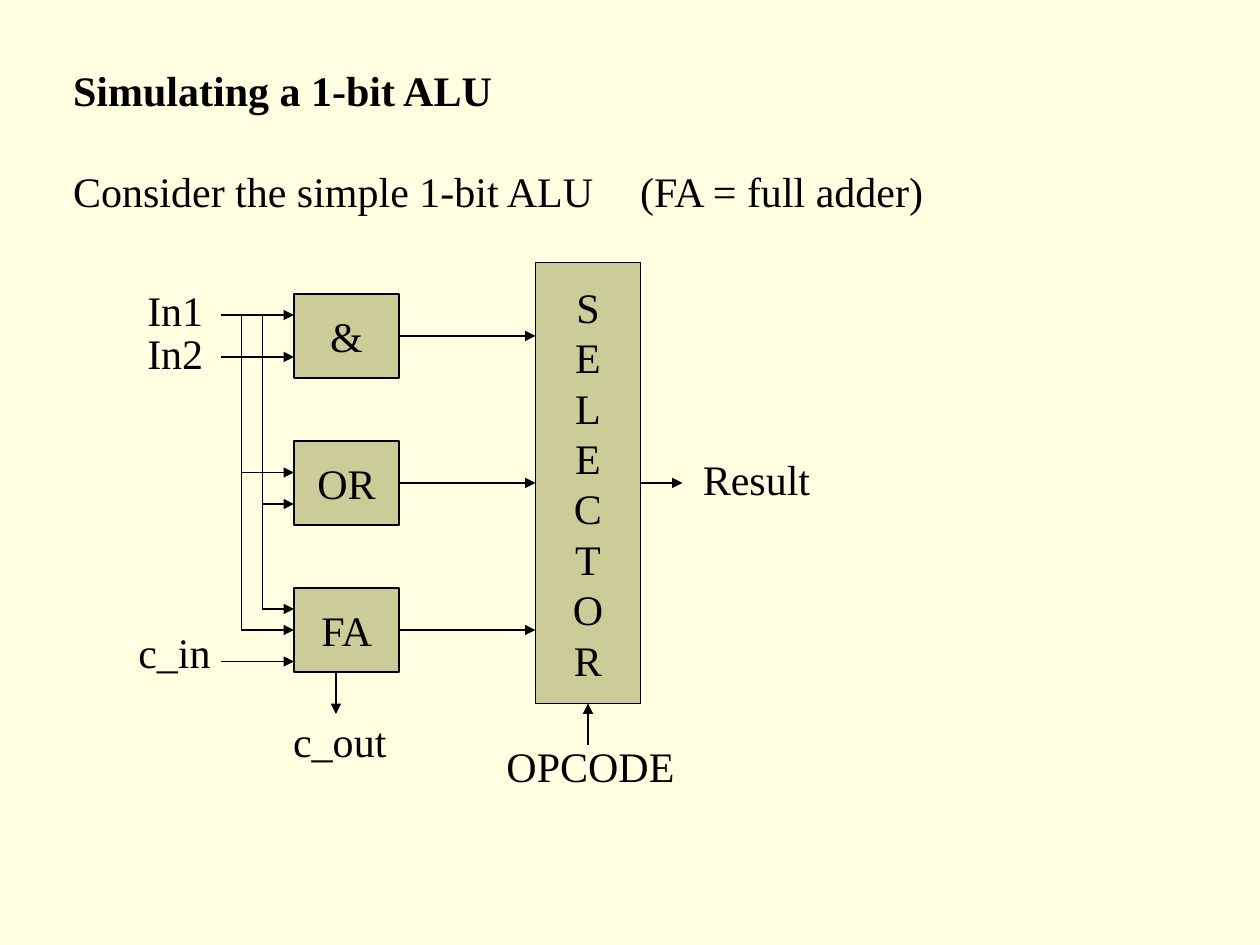
"""Build a slide with the block diagram of a 1-bit ALU."""
from pptx import Presentation, util as u
from pptx.dml.color import RGBColor
from pptx.enum import shapes, text
from pptx.oxml import ns, xmlchemy

CREAM = RGBColor(0xFF, 0xFF, 0xE1)
KHAKI = RGBColor(0xCC, 0xCC, 0x99)
BLACK = RGBColor(0, 0, 0)
GRID = u.Cm(2.54) / 12


def grid(*units):
    return [u.Emu(round(unit * GRID)) for unit in units]


class Diagram:
    font_name = "Times New Roman"
    font_size = u.Pt(24)
    line_width = u.Pt(0.75)

    def __init__(self, page):
        self.page = page
        page.background.fill.solid()
        page.background.fill.fore_color.rgb = CREAM

    def set_text(self, box, words, align, anchor, bold=False):
        frame = box.text_frame
        frame.text = words
        frame.word_wrap = False
        frame.auto_size = text.MSO_AUTO_SIZE.NONE
        frame.vertical_anchor = anchor
        for para in frame.paragraphs:
            para.alignment = align
            para.space_before = u.Pt(0)
            for span in para.runs:
                span.font.name = self.font_name
                span.font.size = self.font_size
                span.font.bold = bold
                span.font.color.rgb = BLACK

    def heading(self, box, words, top, bold=False):
        box.left, box.top = u.Cm(1.22), u.Cm(top)
        box.width, box.height = u.Cm(19.6), u.Cm(1.27)
        self.set_text(box, words, text.PP_ALIGN.LEFT, text.MSO_ANCHOR.TOP, bold)

    def tabbed(self, box, stop):
        props = box.text_frame.paragraphs[0]._p.get_or_add_pPr()
        props.set("marL", "0")
        props.set("indent", "0")
        props.append(xmlchemy.OxmlElement("a:buNone"))
        tabs = xmlchemy.OxmlElement("a:tabLst")
        tab = xmlchemy.OxmlElement("a:tab")
        tab.set("pos", str(u.Cm(stop)))
        tab.set("algn", "l")
        tabs.append(tab)
        props.append(tabs)

    def block(self, words, left, top, width, height):
        box = self.page.shapes.add_shape(
            shapes.MSO_SHAPE.RECTANGLE, *grid(left, top, width, height))
        box.shadow.inherit = False
        box.fill.solid()
        box.fill.fore_color.rgb = KHAKI
        box.line.color.rgb = BLACK
        box.line.width = self.line_width
        self.set_text(box, words, text.PP_ALIGN.CENTER, text.MSO_ANCHOR.MIDDLE)

    def wire(self, x1, y1, x2, y2, arrow=True):
        wire = self.page.shapes.add_connector(
            shapes.MSO_CONNECTOR.STRAIGHT, *grid(x1, y1, x2, y2))
        wire.line.color.rgb = BLACK
        wire.line.width = self.line_width
        props = wire._element.spPr
        if arrow:
            tail = xmlchemy.OxmlElement("a:tailEnd")
            tail.set("type", "triangle")
            props.find(ns.qn("a:ln")).append(tail)
        props.append(xmlchemy.OxmlElement("a:effectLst"))

    def label(self, words, left, top, width):
        box = self.page.shapes.add_textbox(
            u.Cm(left), u.Cm(top), u.Cm(width), u.Cm(1.27))
        self.set_text(box, words, text.PP_ALIGN.LEFT, text.MSO_ANCHOR.TOP)


def main():
    deck = Presentation()
    deck.slide_width, deck.slide_height = u.Cm(25.4), u.Cm(19.05)
    page = deck.slides.add_slide(deck.slide_layouts[1])
    diagram = Diagram(page)

    title, body = page.placeholders
    diagram.heading(title, "Simulating a 1-bit ALU", 1.17, bold=True)
    diagram.heading(body, "Consider the simple 1-bit ALU\t(FA = full adder)", 3.2)
    diagram.tabbed(body, 13.24)

    gate_left, gate_width, gate_height = 28, 10, 8
    gate_right = gate_left + gate_width
    selector_left, selector_top, selector_height = 51, 25, 42
    selector_right = selector_left + gate_width
    selector_bottom = selector_top + selector_height
    selector_centre = selector_left + gate_width / 2

    for row, name in enumerate(("&", "OR", "FA")):
        top = 28 + 14 * row
        middle = top + gate_height / 2
        diagram.block(name, gate_left, top, gate_width, gate_height)
        diagram.wire(gate_right, middle, selector_left, middle)
    diagram.block("\n".join("SELECTOR"), selector_left, selector_top,
                  gate_width, selector_height)

    source, first_bus, second_bus = 21, 23, 25
    inputs = ((source, 30), (source, 34), (first_bus, 45), (second_bus, 48),
              (second_bus, 58), (first_bus, 60), (source, 63))
    for start, level in inputs:
        diagram.wire(start, level, gate_left, level)
    for bus, bottom in ((first_bus, 60), (second_bus, 58)):
        diagram.wire(bus, bottom, bus, 30, arrow=False)

    diagram.wire(32, 64, 32, 68)
    diagram.wire(selector_centre, selector_bottom + 4,
                 selector_centre, selector_bottom)
    diagram.wire(selector_right, 46, selector_right + 4, 46)

    for words, left, top, width in (
            ("In1", 2.72, 5.61, 1.63),
            ("In2", 2.72, 6.48, 1.63),
            ("c_in", 2.54, 12.5, 1.96),
            ("c_out", 5.66, 14.3, 2.39),
            ("OPCODE", 9.96, 14.81, 3.89),
            ("Result", 13.92, 9.02, 2.67)):
        diagram.label(words, left, top, width)

    deck.save("out.pptx")


if __name__ == "__main__":
    main()
